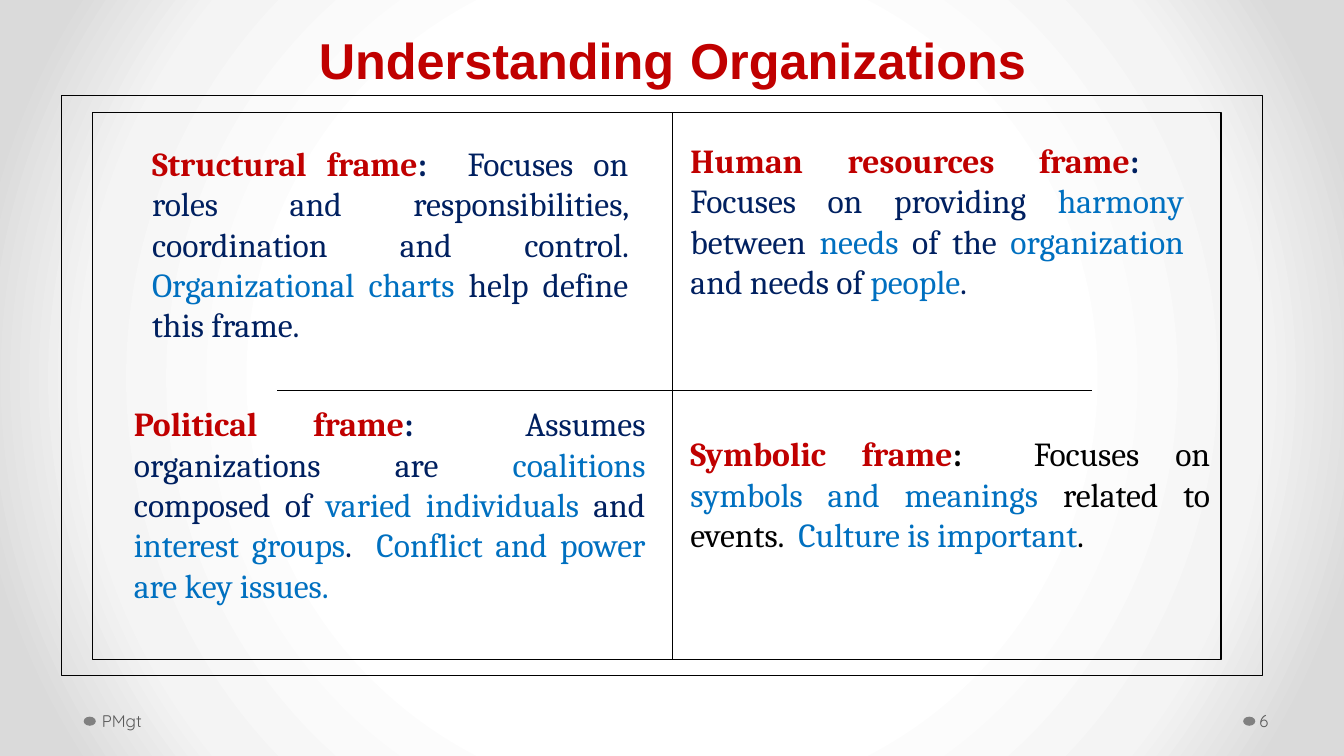
import dataclasses

import lxml.etree
import pptx
import pptx.dml.color
import pptx.enum.shapes
import pptx.enum.text
import pptx.oxml
import pptx.oxml.ns
import pptx.util

PX = 9144
SHAPES = pptx.enum.shapes.MSO_SHAPE
ALIGN = pptx.enum.text.PP_ALIGN
ANCHOR = pptx.enum.text.MSO_ANCHOR
FIT = pptx.enum.text.MSO_AUTO_SIZE


@dataclasses.dataclass(frozen=True)
class Theme:
    red: str = "C00000"
    navy: str = "002060"
    blue: str = "0070C0"
    black: str = "000000"
    gray: str = "595959"
    dot: str = "808080"
    title_font: str = "Arial"
    body_font: str = "Cambria"
    footer_font: str = "Quicksand"
    title_size: int = 36
    gap_size: int = 40
    body_size: int = 24
    footer_size: int = 12
    line_width: float = 0.75
    backdrop: tuple = ((50, "FFFFFF"), (76, "F4F4F4"), (92, "DADADA"))


THEME = Theme()

FRAMES = [
    ((49, 25, 492, 212), THEME.navy, "Structural frame", [
        ("  Focuses on roles and responsibilities, coordination and control. ", False),
        ("Organizational charts ", True), ("help define this frame.", False)]),
    ((583, 22, 509, 212), THEME.navy, "Human resources frame", [
        ("  Focuses on providing ", False), ("harmony", True), (" between ", False),
        ("needs", True), (" of the ", False), ("organization", True),
        (" and needs of ", False), ("people", True), (". ", False)]),
    ((31, 283, 527, 212), THEME.navy, "Political frame", [
        ("  Assumes organizations are ", False), ("coalitions", True),
        (" composed of ", False), ("varied individuals ", True), ("and ", False),
        ("interest groups", True), (".  ", False),
        ("Conflict and power are key issues.", True)]),
    ((583, 313, 535, 131), THEME.black, "Symbolic frame", [
        ("  Focuses on ", False), ("symbols and meanings ", True),
        ("related to events.  ", False), ("Culture is important", True), (".", False)]),
]


def emu(*lengths):
    return [length * PX for length in lengths]


def rgb(color):
    return pptx.dml.color.RGBColor.from_string(color)


def apply(target, values):
    for name, value in values.items():
        setattr(target, name, value)


def add_span(para, text, font, size, color, bold=False):
    span = para.add_run()
    span.text = text
    apply(span.font, {"name": font, "size": pptx.util.Pt(size), "bold": bold})
    span.font.color.rgb = rgb(color)


def add_text_box(page, box, values):
    frame = page.shapes.add_textbox(*emu(*box)).text_frame
    apply(frame, {"word_wrap": True, **values})
    return frame.paragraphs[0]


def add_outline(page, box):
    outline = page.shapes.add_shape(SHAPES.RECTANGLE, *emu(*box))
    outline.shadow.inherit = False
    outline.fill.background()
    outline.line.color.rgb = rgb(THEME.black)
    outline.line.width = pptx.util.Pt(THEME.line_width)


def add_rule(page, start, end):
    rule = page.shapes.add_connector(
        pptx.enum.shapes.MSO_CONNECTOR.STRAIGHT, *emu(*start, *end))
    rule.line.color.rgb = rgb(THEME.black)
    rule.line.width = pptx.util.Pt(THEME.line_width)
    lxml.etree.SubElement(rule.element.spPr, pptx.oxml.ns.qn("a:effectLst"))


def add_dot(page, left, top):
    dot = page.shapes.add_shape(SHAPES.OVAL, *emu(left, top, 12, 9))
    dot.shadow.inherit = False
    dot.fill.solid()
    dot.fill.fore_color.rgb = rgb(THEME.dot)
    dot.line.fill.background()


def paint_background(page):
    page.background.fill.gradient()
    gradient = page.element.find(".//" + pptx.oxml.ns.qn("a:gradFill"))
    stops = "".join(
        f'<a:gs pos="{place * 1000}"><a:srgbClr val="{color}"/></a:gs>'
        for place, color in THEME.backdrop)
    gradient.getparent().replace(gradient, pptx.oxml.parse_xml(
        f'<a:gradFill {pptx.oxml.ns.nsdecls("a")} rotWithShape="1">'
        f'<a:gsLst>{stops}</a:gsLst><a:path path="circle">'
        '<a:fillToRect l="50000" t="50000" r="50000" b="50000"/>'
        '</a:path></a:gradFill>'))


def add_title(page, box):
    title = page.shapes.title
    apply(title, dict(zip(("left", "top", "width", "height"), emu(*box))))
    apply(title.text_frame, {"vertical_anchor": ANCHOR.BOTTOM, "word_wrap": True,
                             "auto_size": FIT.NONE})
    para = title.text_frame.paragraphs[0]
    apply(para, {"alignment": ALIGN.CENTER, "line_spacing": pptx.util.Pt(58)})
    for text, size, bold in (("Understanding", THEME.title_size, True),
                             (" ", THEME.gap_size, False),
                             ("Organizations", THEME.title_size, True)):
        add_span(para, text, THEME.title_font, size, THEME.red, bold)


def add_quadrants(page, box):
    left, top, width, height = box
    middle_x, middle_y = left + 575, top + 275
    add_outline(page, box)
    add_rule(page, (middle_x, top), (middle_x, top + height))
    add_rule(page, (left + 183, middle_y), (left + 991, middle_y))
    for (dx, dy, wide, high), color, heading, pieces in FRAMES:
        para = add_text_box(page, (left + dx, top + dy, wide, high),
                            {"auto_size": FIT.SHAPE_TO_FIT_TEXT})
        para.alignment = ALIGN.JUSTIFY
        style = (THEME.body_font, THEME.body_size)
        add_span(para, heading, *style, THEME.red, True)
        add_span(para, ":", *style, color, True)
        for text, highlighted in pieces:
            add_span(para, text, *style, THEME.blue if highlighted else color)


def add_footer(page, box):
    left, top, width, height = box
    number_left = left + 1150
    items = (("PMgt", left, 415, left - 13, 5, 10),
             ("6", number_left, width - 1150, number_left - 13, 3, 5))
    for text, text_left, text_width, dot_left, inset_left, inset_right in items:
        add_dot(page, dot_left, top + 16)
        margins = {"margin_left": inset_left * PX, "margin_right": inset_right * PX}
        para = add_text_box(page, (text_left, top, text_width, height),
                            {"vertical_anchor": ANCHOR.MIDDLE, **margins})
        add_span(para, text, THEME.footer_font, THEME.footer_size, THEME.gray)


def main():
    deck = pptx.Presentation()
    apply(deck, {"slide_width": 1333 * PX, "slide_height": 750 * PX})
    page = deck.slides.add_slide(deck.slide_layouts[5])
    paint_background(page)
    add_title(page, (167, 24, 1000, 71))
    add_quadrants(page, (92, 112, 1119, 542))
    add_outline(page, (61, 95, 1191, 575))
    add_footer(page, (96, 695, 1232, 40))
    deck.save("out.pptx")


if __name__ == "__main__":
    main()
